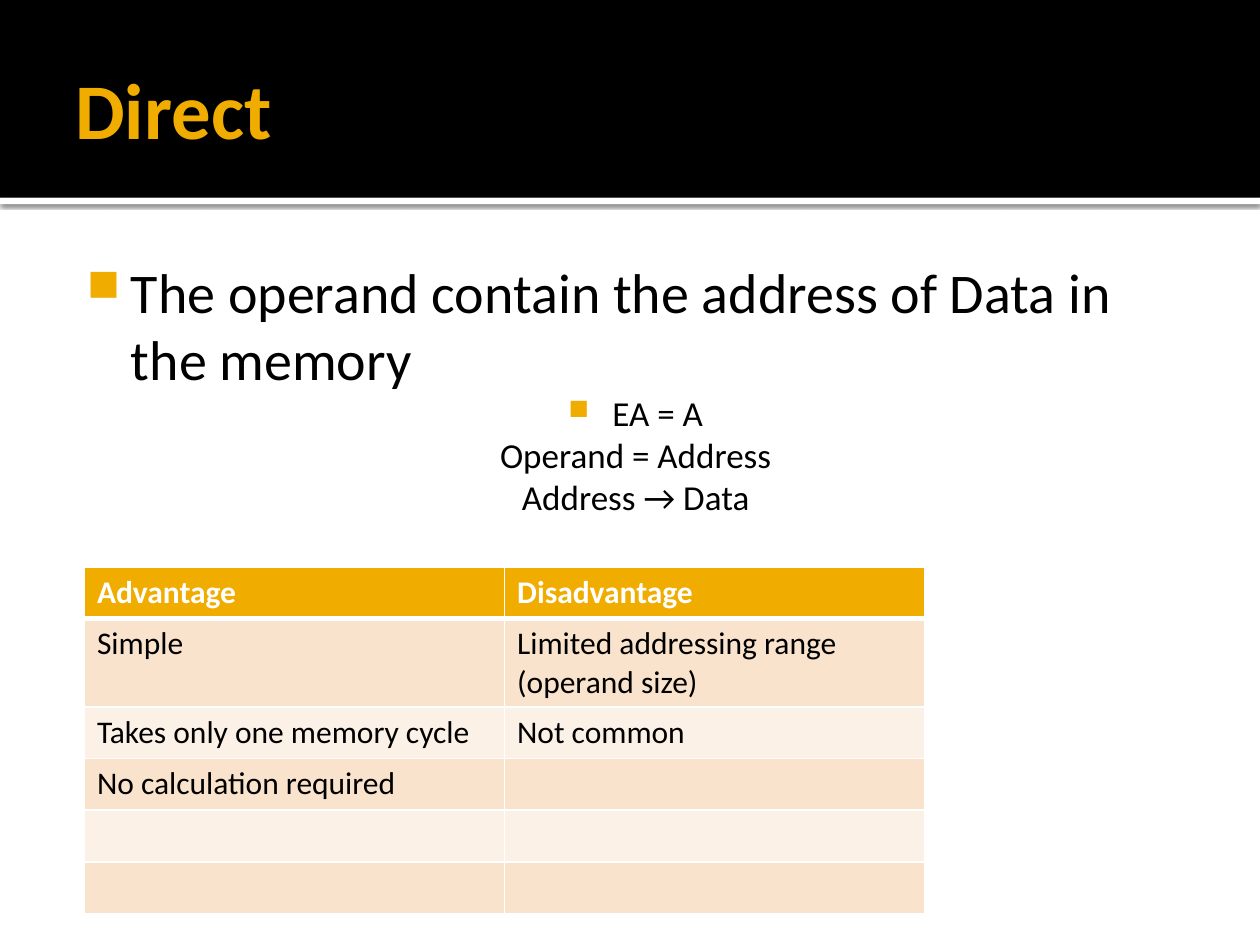
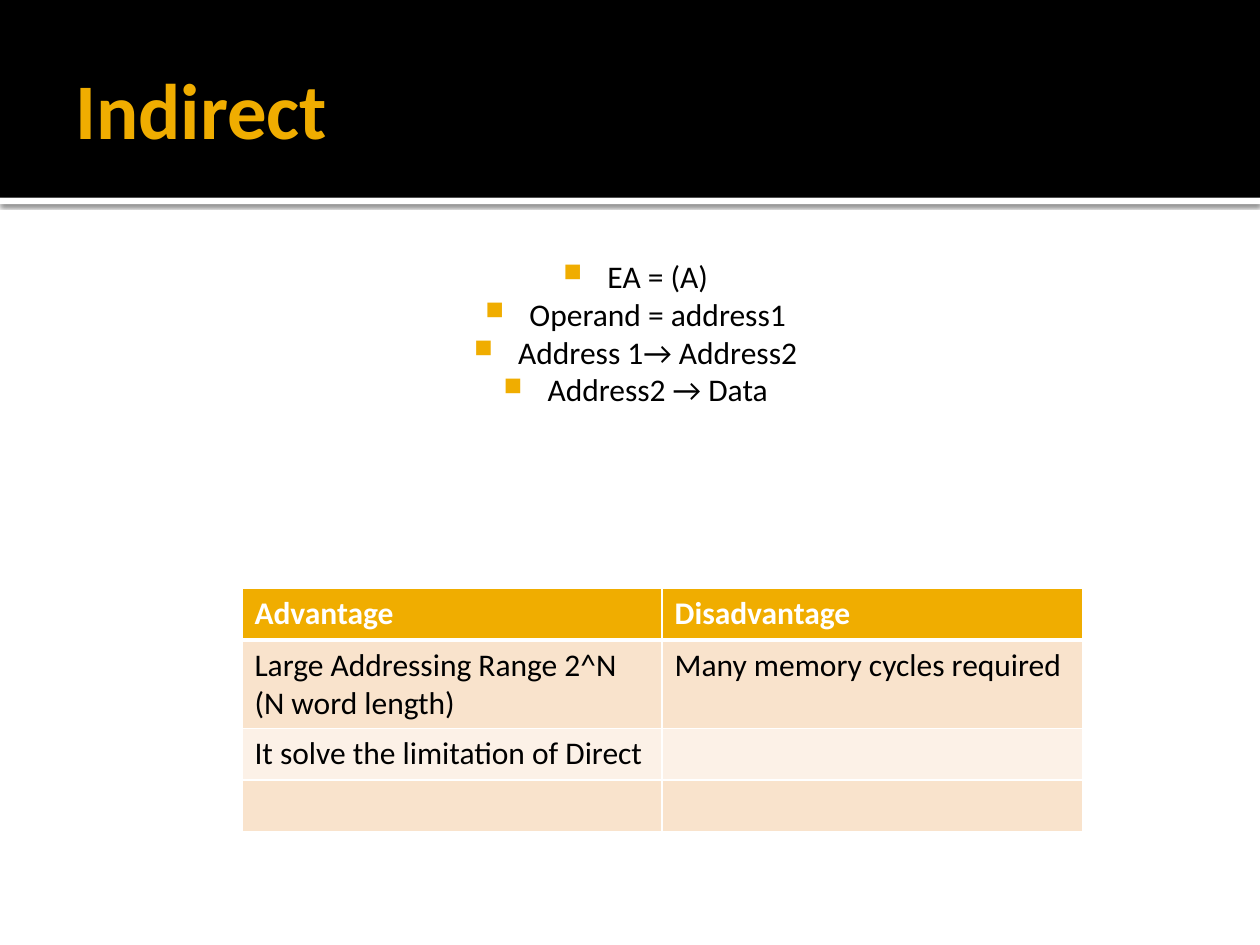
from dataclasses import dataclass

from lxml.etree import SubElement
from pptx import Presentation
from pptx.dml.color import RGBColor as RGB
from pptx.enum.shapes import MSO_SHAPE as SHAPE
from pptx.enum.text import MSO_ANCHOR as ANCHOR, PP_ALIGN as ALIGN
from pptx.oxml.ns import qn
from pptx.util import Inches, Pt


@dataclass(frozen=True)
class Theme:
    """Colours and type sizes shared by the slides."""
    font: str = "Calibri"
    gold: str = "F0AD00"
    black: str = "000000"
    white: str = "FFFFFF"
    bands: tuple = ("F9E3CC", "FCF1E7")
    title: int = 45
    lead: int = 32
    formula: int = 20
    small: int = 18


T = Theme()
TITLE_BOX = (0.5, 0.17, 9, 1.37)
BODY_BOX = (0.5, 1.94, 9, 5.06)
BAND_HEIGHT = 1.57
COLUMN_WIDTH, ROW_HEIGHT = 3.335, 0.41


def sub(parent, tag, **attrs):
    """Append a DrawingML child with the given attributes."""
    return SubElement(parent, qn(f"a:{tag}"), {k: str(v) for k, v in attrs.items()})


def style(p, size, color, bold=False):
    """Set the font of a whole paragraph."""
    f = p.font
    f.name, f.size, f.bold = T.font, Pt(size), bold
    f.color.rgb = RGB.from_string(color)


def add_box(s, box, insets, anchor=ANCHOR.TOP):
    """Add a wrapping text box and return its text frame."""
    tf = s.shapes.add_textbox(*map(Inches, box)).text_frame
    tf.word_wrap, tf.vertical_anchor = True, anchor
    tf.margin_left, tf.margin_top, tf.margin_right, tf.margin_bottom = map(Inches, insets)
    return tf


def add_bar(s, box, color):
    """Add a plain filled rectangle."""
    sp = s.shapes.add_shape(SHAPE.RECTANGLE, *map(Inches, box))
    sp.shadow.inherit = False
    sp.fill.solid()
    sp.fill.fore_color.rgb = RGB.from_string(color)
    sp.line.fill.background()
    return sp


def add_header(s, title):
    """Draw the black band, its shadowed edge and the title."""
    edge = add_bar(s, (0, BAND_HEIGHT, 10, 0.05), T.white)
    effects = edge._element.spPr.find(qn("a:effectLst"))
    shadow = sub(effects, "outerShdw", blurRad=Pt(2.5), dist=Pt(0.8),
                 dir=90 * 60000, algn="tl", rotWithShape=0)
    sub(sub(shadow, "srgbClr", val=T.black), "alpha", val=60000)
    add_bar(s, (0, 0, 10, BAND_HEIGHT), T.black)
    p = add_box(s, TITLE_BOX, (0.1, 0.05, 0.05, 0.05), ANCHOR.MIDDLE).paragraphs[0]
    p.text = title
    style(p, T.title, T.gold, True)


def add_body(s, lines):
    """Write (text, size, alignment, bulleted) lines into the body box."""
    tf = add_box(s, BODY_BOX, (0.06, 0.1, 0.1, 0.05))
    for i, (text, size, align, bulleted) in enumerate(lines):
        p = tf.add_paragraph() if i else tf.paragraphs[0]
        p.text, p.alignment = text, align
        pPr = p._p.get_or_add_pPr()
        pPr.set("marL", str(Inches(0.48)))
        pPr.set("indent", str(Inches(-0.35)))
        if bulleted:
            sub(sub(pPr, "buClr"), "srgbClr", val=T.gold)
            sub(pPr, "buSzPct", val=80000)
            sub(pPr, "buChar", char="■")
        style(p, size, T.black)


def format_cell(cell, text, row):
    """Fill, border and write one cell according to its row."""
    header = row == 0
    widths = {"L": 1, "R": 1, "T": 3 if row == 1 else 1, "B": 3 if header else 1}
    for side, width in widths.items():
        ln = sub(cell._tc.get_or_add_tcPr(), f"ln{side}", w=Pt(width))
        sub(sub(ln, "solidFill"), "srgbClr", val=T.white)
    cell.fill.solid()
    cell.fill.fore_color.rgb = RGB.from_string(T.gold if header else T.bands[(row - 1) % 2])
    p = cell.text_frame.paragraphs[0]
    p.text = text
    style(p, T.small, T.white if header else T.black, header)


def add_comparison(s, left, top, rows):
    """Add the table of advantages and disadvantages."""
    rows = [("Advantage", "Disadvantage"), *rows]
    size = (2 * COLUMN_WIDTH, len(rows) * ROW_HEIGHT)
    table = s.shapes.add_table(len(rows), 2, *map(Inches, (left, top, *size))).table
    table.first_row = table.horz_banding = False
    for r, texts in enumerate(rows):
        for c, text in enumerate(texts):
            format_cell(table.cell(r, c), text, r)


def add_mode_slide(prs, title, lines, table_at, rows):
    """Build one addressing-mode slide."""
    s = prs.slides.add_slide(prs.slide_layouts[6])
    add_header(s, title)
    add_body(s, lines)
    add_comparison(s, *table_at, rows)


def main():
    """Build and save the deck."""
    prs = Presentation()
    prs.slide_width, prs.slide_height = Inches(10), Inches(7.5)
    add_mode_slide(
        prs, "Direct",
        [("The operand contain the address of Data in the memory", T.lead, ALIGN.LEFT, True),
         ("EA = A", T.formula, ALIGN.CENTER, True),
         ("Operand = Address", T.formula, ALIGN.CENTER, False),
         ("Address → Data", T.formula, ALIGN.CENTER, False)],
        (0.67, 4.5),
        [("Simple", "Limited addressing range (operand size)"),
         ("Takes only one memory cycle", "Not common"),
         ("No calculation required", ""), ("", ""), ("", "")])
    formulas = ("EA = (A)", "Operand = address1", "Address 1→ Address2", "Address2 → Data")
    add_mode_slide(
        prs, "Indirect",
        [(text, T.small, ALIGN.CENTER, True) for text in formulas],
        (1.92, 4.67),
        [("Large Addressing Range 2^N (N word length)", "Many memory cycles required"),
         ("It solve the limitation of Direct", ""), ("", "")])
    prs.save("out.pptx")


if __name__ == "__main__":
    main()
